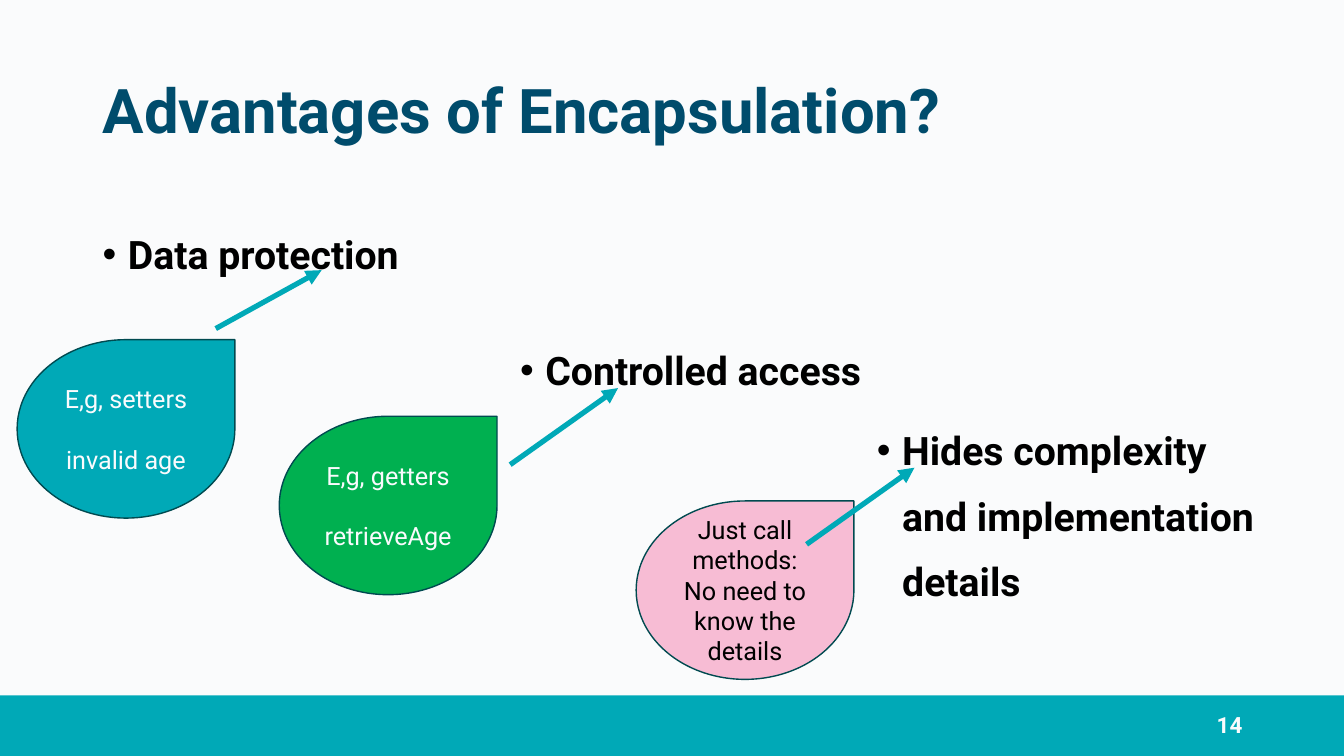
from lxml.etree import SubElement
from pptx import Presentation
from pptx.dml.color import RGBColor as RGB
from pptx.enum.shapes import MSO_CONNECTOR as LINK, MSO_SHAPE as SHAPE
from pptx.enum.text import MSO_ANCHOR as ANCHOR, PP_ALIGN as ALIGN
from pptx.oxml.ns import qn
from pptx.util import Inches, Pt

HUES = {
    "back": "FAFBFC", "teal": "00A9B7", "navy": "004C6C", "black": "000000",
    "white": "FAFBFD", "edge": "004A50", "green": "00B050", "pink": "F7BCD4",
}


def hue(name):
    return RGB.from_string(HUES[name])


def write(shape, *paras, size=28, color="black", bold=True, align=ALIGN.LEFT,
          anchor=ANCHOR.TOP, lead=None, gap=0, bullet=False):
    """Fill a shape with paragraphs; gap is the space between them, in points."""
    frame = shape.text_frame
    frame.word_wrap = True
    frame.vertical_anchor = anchor
    for i, text in enumerate(paras):
        para = frame.add_paragraph() if i else frame.paragraphs[0]
        para.text = text
        para.alignment = align
        if lead:
            para.line_spacing = lead
        if i:
            para.space_before = Pt(gap)
        if bullet:
            para.space_before = Pt(10)
            props = para._p.get_or_add_pPr()
            props.set("marL", str(Inches(0.25)))
            props.set("indent", str(Inches(-0.25)))
            SubElement(props, qn("a:buFont"), typeface="Arial")
            SubElement(props, qn("a:buChar"), char="•")
        for run in para.runs:
            font = run.font
            font.name, font.size, font.bold = "Roboto", Pt(size), bold
            font.color.rgb = hue(color)


deck = Presentation()
deck.slide_width, deck.slide_height = Inches(13.33), Inches(7.5)
slide = deck.slides.add_slide(deck.slide_layouts[6])
slide.background.fill.solid()
slide.background.fill.fore_color.rgb = hue("back")
shapes = slide.shapes

# Footer, title and page number
bar = shapes.add_shape(SHAPE.RECTANGLE, 0, Inches(6.9), Inches(13.33), Inches(0.6))
bar.shadow.inherit = False
bar.fill.solid()
bar.fill.fore_color.rgb = hue("teal")
bar.line.fill.background()

title = shapes.add_textbox(Inches(0.92), Inches(0.4), Inches(11.5), Inches(1.45))
write(title, "Advantages of Encapsulation?", size=44, color="navy",
      anchor=ANCHOR.MIDDLE, lead=0.9)
page = shapes.add_textbox(Inches(9.42), Inches(6.99), Inches(3), Inches(0.4))
write(page, "14", size=16, color="white", align=ALIGN.RIGHT, anchor=ANCHOR.MIDDLE)

# Advantages: left, top, width, line spacing, text
points = [
    (0.92, 2, 7.08, 1.5, "Data protection"),
    (5.06, 3.15, 7.08, 1.5, "Controlled access"),
    (8.6, 3.99, 4.7, 1.4, "Hides complexity\nand implementation\ndetails"),
]
for left, top, width, lead, text in points:
    box = shapes.add_textbox(Inches(left), Inches(top), Inches(width), Inches(1.99))
    write(box, text, lead=lead, bullet=True)

# Examples: left, top, fill, text color, gap, paragraphs
drops = [
    (0.17, 3.37, "teal", "white", 21.5, ("E,g, setters", "invalid age")),
    (2.77, 4.13, "green", "white", 21.5, ("E,g, getters", "retrieveAge")),
    (6.31, 4.97, "pink", "black", 0,
     ("Just call methods:", "No need to know the details")),
]
for left, top, fill, color, gap, paras in drops:
    drop = shapes.add_shape(SHAPE.TEAR, Inches(left), Inches(top),
                            Inches(2.16), Inches(1.77))
    drop.shadow.inherit = False
    drop.fill.solid()
    drop.fill.fore_color.rgb = hue(fill)
    drop.line.color.rgb = hue("edge")
    drop.line.width = Pt(1)
    write(drop, *paras, size=18, color=color, bold=False, align=ALIGN.CENTER,
          anchor=ANCHOR.MIDDLE, gap=gap)

# Arrows from each example to its advantage
arrows = [(2.14, 3.26, 3.19, 2.68), (5.06, 4.61, 6.13, 3.85), (8, 5.4, 9.07, 4.64)]
for ends in arrows:
    arrow = shapes.add_connector(LINK.STRAIGHT, *map(Inches, ends))
    arrow.line.color.rgb = hue("teal")
    arrow.line.width = Pt(3.75)
    SubElement(arrow.line._get_or_add_ln(), qn("a:tailEnd"), type="triangle")
    SubElement(arrow._element.spPr, qn("a:effectLst"))

deck.save("out.pptx")
